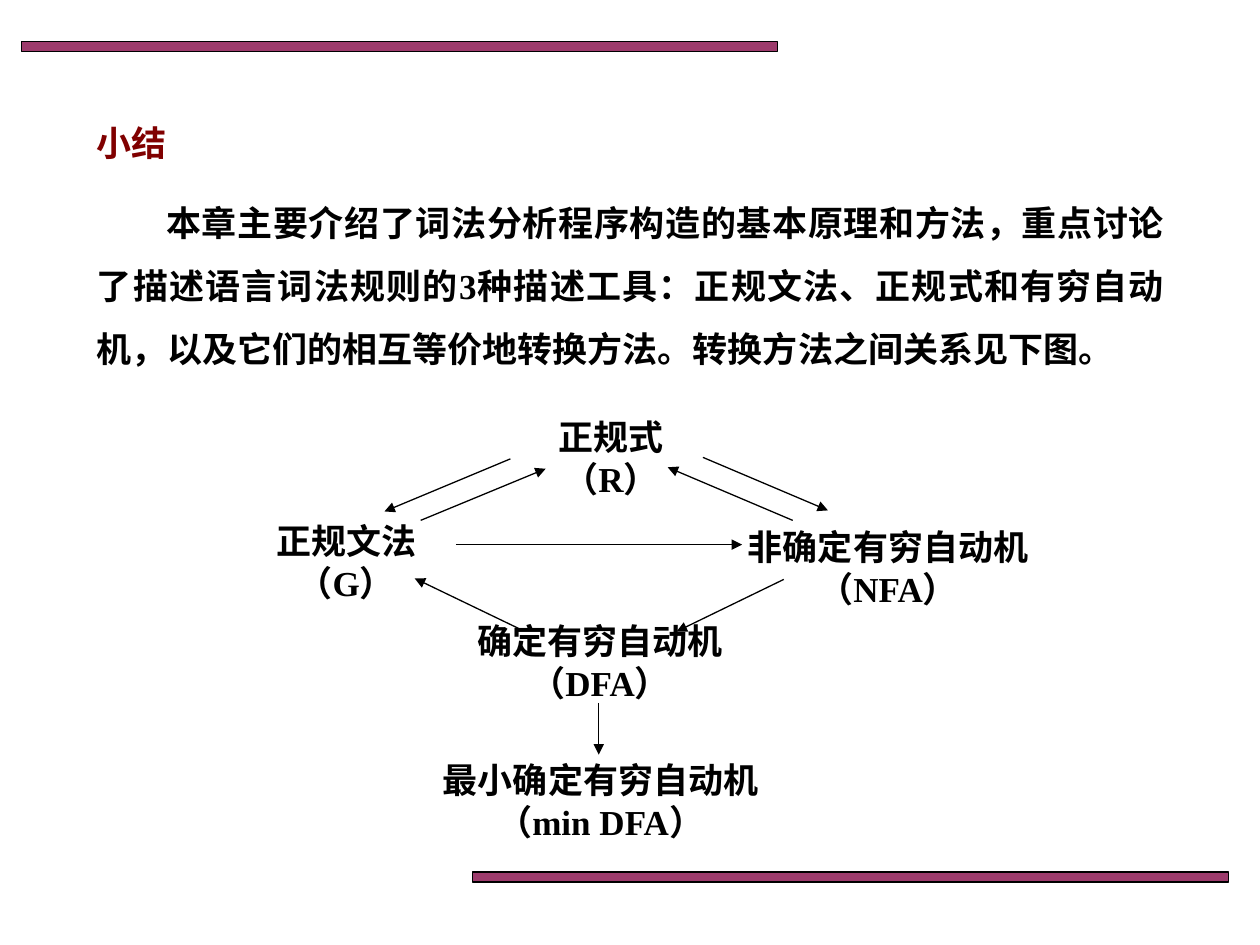
"""Build the chapter summary slide with its conversion diagram."""
from lxml.etree import SubElement
from pptx import Presentation
from pptx.dml.color import RGBColor
from pptx.enum.shapes import MSO_CONNECTOR as Connector, MSO_SHAPE as Shape
from pptx.enum.text import MSO_ANCHOR as Anchor, MSO_AUTO_SIZE as AutoSize, PP_ALIGN as Align
from pptx.oxml.ns import qn
from pptx.util import Cm, Pt

COLORS = {"bar": "993366", "title": "800000", "ink": "000000"}
FONT = "Times New Roman"
SUMMARY = (
    "本章主要介绍了词法分析程序构造的基本原理和方法，重点讨论了描述语言词法规则的3种描述工具："
    "正规文法、正规式和有穷自动机，以及它们的相互等价地转换方法。转换方法之间关系见下图。"
)
BARS = [(0.43, 0.84), (9.53, 17.58)]
STATES = [
    ("正规式\n（R）", 10.57, 8.26, 3.5),
    ("正规文法\n（G）", 4.88, 10.34, 4.2),
    ("非确定有穷自动机（NFA）", 14.3, 10.46, 7.21),
    ("确定有穷自动机\n（DFA）", 8.94, 12.37, 6.32),
    ("最小确定有穷自动机\n（min DFA）", 8.2, 15.16, 7.82),
]
CONVERSIONS = [
    (9.19, 10.98, 14.96, 10.98),
    (15.8, 11.68, 13.64, 12.73),
    (10.52, 12.7, 8.36, 11.66),
    (12.07, 14.17, 12.07, 15.21),
    (8.48, 10.49, 11.0, 9.45),
    (10.29, 9.25, 7.75, 10.31),
    (14.17, 9.22, 16.69, 10.29),
    (15.98, 10.49, 13.46, 9.42),
]


def color(name):
    return RGBColor.from_string(COLORS[name])


def place(shape, left, top, width, height):
    shape.left, shape.top = Cm(left), Cm(top)
    shape.width, shape.height = Cm(width), Cm(height)


def write(shape, text, color_name, align, line_spacing=1.0):
    frame = shape.text_frame
    frame.word_wrap = True
    frame.auto_size = AutoSize.NONE
    frame.vertical_anchor = Anchor.TOP
    frame.text = text
    for paragraph in frame.paragraphs:
        paragraph.alignment = align
        paragraph.line_spacing = line_spacing
        paragraph.space_before = Pt(0)
        paragraph.font.name = FONT
        paragraph.font.size = Pt(20)
        paragraph.font.bold = True
        paragraph.font.color.rgb = color(color_name)


def indent_first_line(paragraph, indent):
    properties = paragraph._p.get_or_add_pPr()
    properties.set("marL", "0")
    properties.set("indent", str(Cm(indent)))
    bullet = properties.find(qn("a:buNone"))
    if bullet is None:
        properties.insert_element_before(
            properties.makeelement(qn("a:buNone")), "a:tabLst", "a:defRPr", "a:extLst"
        )


def add_bar(slide, left, top):
    bar = slide.shapes.add_shape(Shape.RECTANGLE, Cm(left), Cm(top), Cm(15.24), Cm(0.2))
    bar.shadow.inherit = False
    bar.fill.solid()
    bar.fill.fore_color.rgb = color("bar")
    fill_color = bar.fill._xPr.find(qn("a:solidFill"))[0]
    SubElement(fill_color, qn("a:alpha"), val="96000")
    bar.line.color.rgb = color("ink")
    bar.line.width = Pt(0.75)


def add_state(slide, text, left, top, width):
    box = slide.shapes.add_textbox(Cm(left), Cm(top), Cm(width), Cm(1.3))
    write(box, text, "ink", Align.CENTER)


def add_arrow(slide, *ends):
    arrow = slide.shapes.add_connector(Connector.STRAIGHT, *map(Cm, ends))
    arrow.line.color.rgb = color("ink")
    arrow.line.width = Pt(0.75)
    SubElement(arrow.line._get_or_add_ln(), qn("a:tailEnd"), type="triangle")
    SubElement(arrow._element.spPr, qn("a:effectLst"))


def main():
    presentation = Presentation()
    presentation.slide_width, presentation.slide_height = Cm(25.4), Cm(19.05)
    slide = presentation.slides.add_slide(presentation.slide_layouts[1])
    for bar in BARS:
        add_bar(slide, *bar)

    title, body = slide.placeholders
    place(title, 1.7, 1.9, 22.02, 1.6)
    write(title, "小结", "title", Align.JUSTIFY, 1.5)
    place(body, 1.7, 3.52, 22.02, 4.1)
    write(body, SUMMARY, "ink", Align.JUSTIFY, 1.5)
    indent_first_line(body.text_frame.paragraphs[0], 1.4)

    for state in STATES:
        add_state(slide, *state)
    for conversion in CONVERSIONS:
        add_arrow(slide, *conversion)
    presentation.save("out.pptx")


if __name__ == "__main__":
    main()
